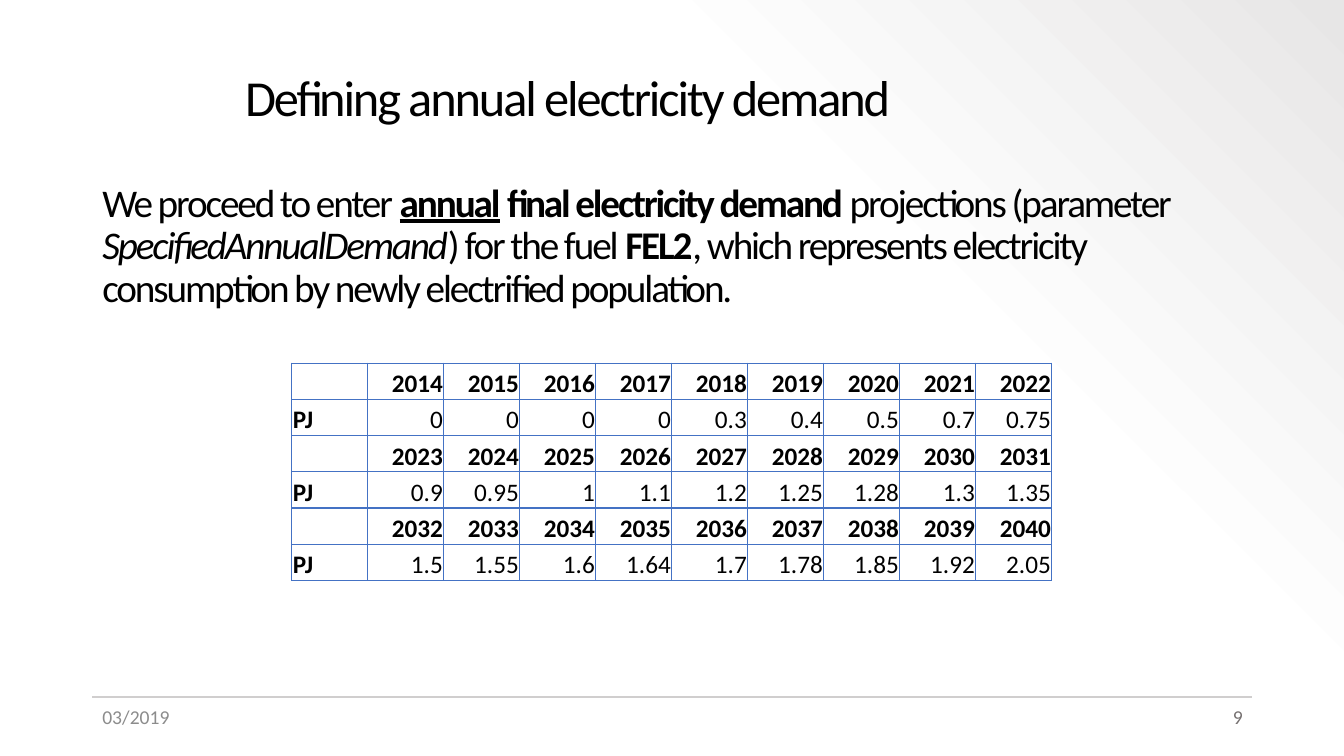
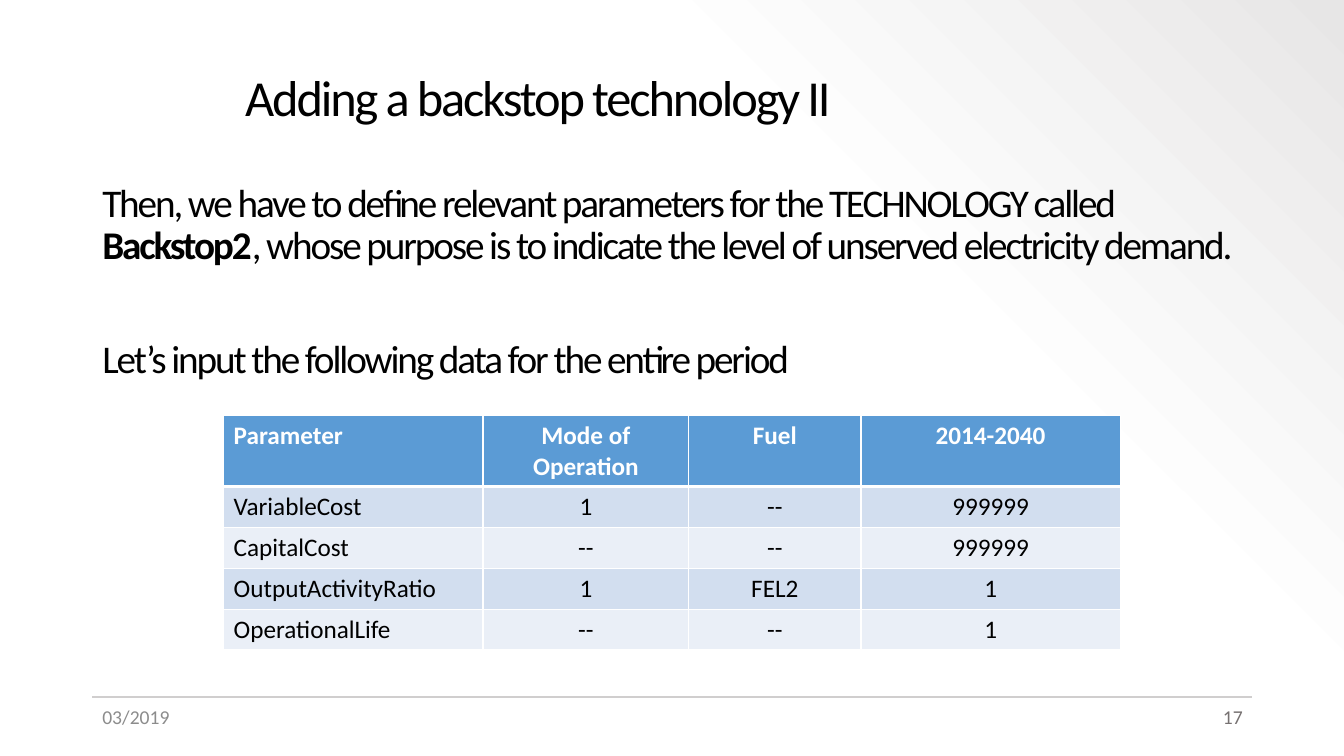
from copy import deepcopy

from lxml import etree
from pptx import Presentation
from pptx import util as u
from pptx.dml.color import RGBColor
from pptx.enum import shapes, text
from pptx.oxml.ns import qn

PX = 9525  # EMU per px, 96 px to the inch
FONT = "Calibri"
BLACK, WHITE = "000000", "FFFFFF"
RULE, DATE_GREY, NUMBER_GREY = "D0CECE", "8C8C8C", "767171"
GRID_BLUE, HEADER_BLUE = "4472C4", "5B9BD5"
BANDS = ("D2DEEF", "EAEFF7")
BACKDROP = ((0, WHITE), (0.69, "FDFDFD"), (1, "E7E6E6"))
LEFT, WIDTH = 88, 1104
FOOTER_TOP, FOOTER_WIDTH, FOOTER_HEIGHT = 667, 125, 38
ALIGN = text.PP_ALIGN
ANCHOR = text.MSO_ANCHOR


def px(*lengths):
    return [u.Emu(length * PX) for length in lengths]


def rgb(colour):
    return RGBColor.from_string(colour)


class Deck:
    """Shared style and the slide being built."""

    def __init__(self):
        self.prs = Presentation()
        self.prs.slide_width, self.prs.slide_height = px(1280, 720)
        self.slide = None
        self.backdrop()

    def backdrop(self):
        master = self.prs.slide_master
        fill = master.background.fill
        fill.gradient()
        fill.gradient_angle = 45
        stop_list = master.element.find(".//" + qn("a:gsLst"))
        stop_list.append(deepcopy(stop_list[0]))
        for stop, (position, colour) in zip(fill.gradient_stops, BACKDROP):
            stop.position = position
            stop.color.rgb = rgb(colour)

    def new_slide(self, title, number):
        self.slide = self.prs.slides.add_slide(self.prs.slide_layouts[6])
        self.rule()
        self.textbox((224, 38, 968, 115), [[(title, "")]], 36,
                     anchor=ANCHOR.MIDDLE, tight=True)
        self.footer(LEFT, "03/2019", DATE_GREY, ALIGN.LEFT)
        self.footer(LEFT + WIDTH - FOOTER_WIDTH + 1, number, NUMBER_GREY, ALIGN.RIGHT)

    def rule(self):
        line = self.slide.shapes.add_connector(
            shapes.MSO_CONNECTOR.STRAIGHT, *px(LEFT, 664, LEFT + WIDTH, 664))
        line.line.color.rgb = rgb(RULE)
        line.line.width = u.Pt(1.5)
        etree.SubElement(line._element.spPr, qn("a:effectLst"))

    def footer(self, left, words, colour, align):
        self.textbox((left, FOOTER_TOP, FOOTER_WIDTH, FOOTER_HEIGHT),
                     [[(words, "")]], 14, colour, align)

    def body(self, *paragraphs, gap=0):
        self.textbox((LEFT, 170, WIDTH, 478), paragraphs, 28, gap=gap, tight=True)

    def textbox(self, box, paragraphs, size, colour=BLACK, align=ALIGN.LEFT,
                anchor=ANCHOR.TOP, gap=0, tight=False):
        frame = self.slide.shapes.add_textbox(*px(*box)).text_frame
        frame.word_wrap = True
        frame.vertical_anchor = anchor
        for index, runs in enumerate(paragraphs):
            paragraph = frame.add_paragraph() if index else frame.paragraphs[0]
            paragraph.alignment = align
            if index:
                paragraph.space_before = u.Pt(gap)
            if tight:
                paragraph.line_spacing = 0.9
            for words, marks in runs:
                self.run(paragraph, words, size, colour, marks, tight)

    def run(self, paragraph, words, size, colour, marks="", tight=False):
        """Marks: b bold, i italic, u underlined."""
        run = paragraph.add_run()
        run.text = words
        font = run.font
        font.name, font.size = FONT, u.Pt(size)
        font.color.rgb = rgb(colour)
        font.bold, font.italic, font.underline = ("b" in marks, "i" in marks, "u" in marks)
        if tight:
            run._r.get_or_add_rPr().set("spc", "-150")

    def table(self, box, rows, columns):
        frame = self.slide.shapes.add_table(rows, columns, *px(*box))
        table = frame.table
        table.first_row = table.horz_banding = False
        return table

    def cell(self, cell, words, align, colour=BLACK, marks=""):
        paragraph = cell.text_frame.paragraphs[0]
        paragraph.alignment = align
        if words:
            self.run(paragraph, words, 18, colour, marks)

    def borders(self, cell, colour, top=1, bottom=1):
        sides = (("a:lnL", 1), ("a:lnR", 1), ("a:lnT", top), ("a:lnB", bottom))
        properties = cell._tc.get_or_add_tcPr()
        for index, (side, points) in enumerate(sides):
            line = etree.Element(qn(side), w=str(u.Pt(points)))
            fill = etree.SubElement(line, qn("a:solidFill"))
            etree.SubElement(fill, qn("a:srgbClr"), val=colour)
            properties.insert(index, line)

    def demand_table(self, box, rows):
        """Plain grid: rows of years alternate with rows of values."""
        table = self.table(box, len(rows), len(rows[0]))
        for r, row in enumerate(rows):
            for c, words in enumerate(row):
                cell = table.cell(r, c)
                cell.fill.background()
                cell.vertical_anchor = ANCHOR.BOTTOM
                cell.margin_left, cell.margin_right, cell.margin_top, cell.margin_bottom = px(1, 1, 1, 0)
                heading = r % 2 == 0 or c == 0
                self.cell(cell, words, ALIGN.RIGHT if c else ALIGN.LEFT,
                          marks="b" if heading else "")
                self.borders(cell, GRID_BLUE)

    def parameter_table(self, box, widths, header_height, row_height, rows):
        """Blue header over banded rows."""
        table = self.table(box, len(rows), len(widths))
        for column, width in zip(table.columns, px(*widths)):
            column.width = width
        for r, row in enumerate(rows):
            header = r == 0
            table.rows[r].height = px(header_height if header else row_height)[0]
            for c, words in enumerate(row):
                cell = table.cell(r, c)
                cell.fill.solid()
                cell.fill.fore_color.rgb = rgb(HEADER_BLUE if header else BANDS[(r - 1) % 2])
                self.cell(cell, words, ALIGN.CENTER if c else ALIGN.LEFT,
                          WHITE if header else BLACK, "b" if header else "")
                self.borders(cell, WHITE, top=3 if r == 1 else 1, bottom=3 if header else 1)


def main():
    deck = Deck()

    # Annual demand
    deck.new_slide("Defining annual electricity demand", "9")
    deck.body([
        ("We proceed to enter ", ""),
        ("annual", "bu"),
        (" final electricity demand", "b"),
        (" projections (parameter ", ""),
        ("SpecifiedAnnualDemand", "i"),
        (") for the fuel ", ""),
        ("FEL2", "b"),
        (", which represents electricity consumption by newly electrified population.", ""),
    ])
    demand = (
        "0 0 0 0 0.3 0.4 0.5 0.7 0.75",
        "0.9 0.95 1 1.1 1.2 1.25 1.28 1.3 1.35",
        "1.5 1.55 1.6 1.64 1.7 1.78 1.85 1.92 2.05",
    )
    demand_rows = []
    for block, values in enumerate(demand):
        first_year = 2014 + 9 * block
        demand_rows.append([""] + [str(first_year + n) for n in range(9)])
        demand_rows.append(["PJ"] + values.split())
    deck.demand_table((278, 346, 724, 207), demand_rows)

    # Backstop technology
    deck.new_slide("Adding a backstop technology II", "17")
    deck.body(
        [
            ("Then, we have to define relevant parameters for the TECHNOLOGY called ", ""),
            ("Backstop2", "b"),
            (", whose purpose is to indicate the level of unserved electricity demand.", ""),
        ],
        [("Let’s input the following data for the entire period", "")],
        gap=51,
    )
    deck.parameter_table((213, 396, 854, 223), (247, 196, 164, 247), 67, 39, (
        ("Parameter", "Mode of Operation", "Fuel", "2014-2040"),
        ("VariableCost", "1", "--", "999999"),
        ("CapitalCost", "--", "--", "999999"),
        ("OutputActivityRatio", "1", "FEL2", "1"),
        ("OperationalLife", "--", "--", "1"),
    ))

    deck.prs.save("out.pptx")


if __name__ == "__main__":
    main()
